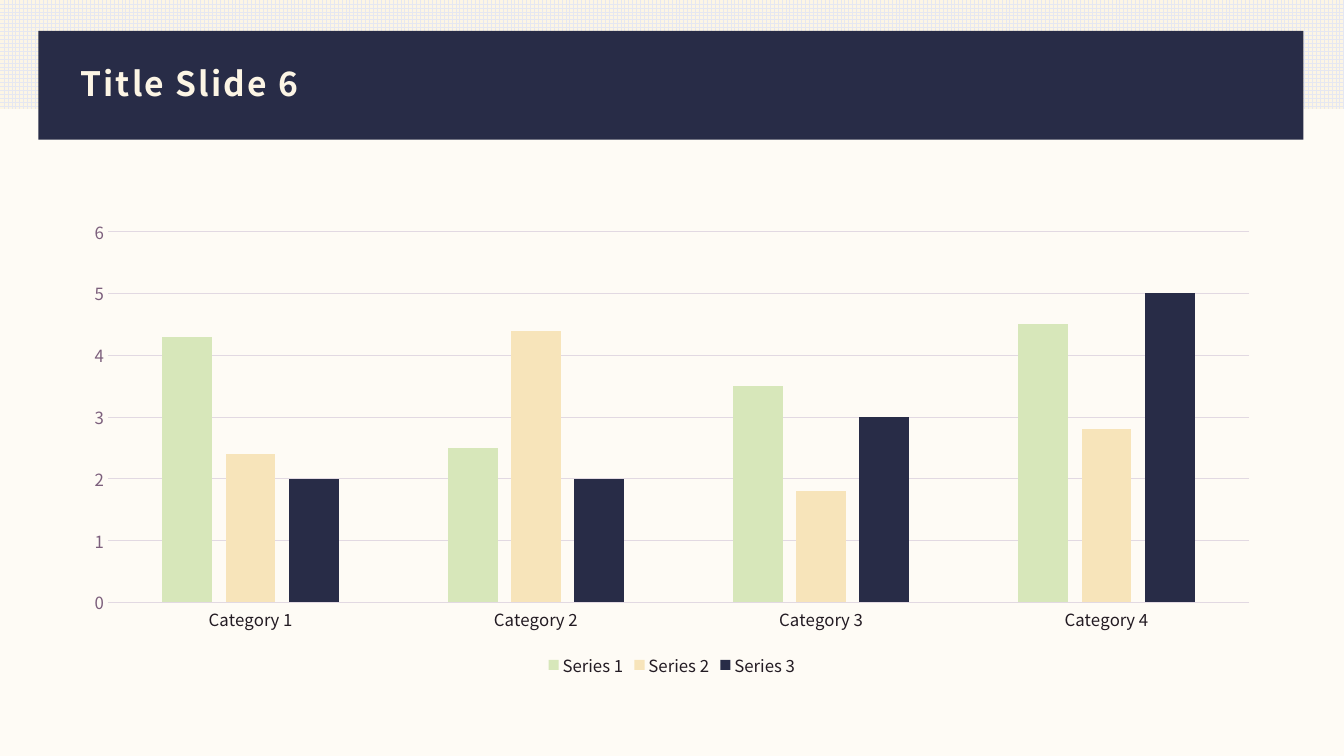
from dataclasses import dataclass

from pptx import Presentation
from pptx import util as u
from pptx.chart.data import CategoryChartData
from pptx.dml.color import RGBColor
from pptx.enum import chart as charts
from pptx.enum import dml, shapes, text
from pptx.oxml.ns import qn


@dataclass(frozen=True)
class Theme:
    font: str = "Noto Sans CJK JP"
    paper: str = "FEFBF5"
    cream: str = "FCF5E5"
    mist: str = "E5E7F1"
    navy: str = "282C47"
    ink: str = "231B23"
    mauve: str = "7C5F7C"
    rule: str = "E2D9E2"
    series: tuple = ("D7E7BA", "F7E4BA", "282C47")
    title_size: float = 24
    label_size: float = 12
    rule_width: float = 0.75
    title_tracking: float = 1.5


def rgb(value):
    return RGBColor.from_string(value)


class SlideBuilder:
    def __init__(self, page, theme):
        self.page = page
        self.theme = theme

    def background(self, color):
        fill = self.page.background.fill
        fill.solid()
        fill.fore_color.rgb = rgb(color)

    def style_font(self, font, size, color, bold=False):
        font.name = self.theme.font
        font.size = u.Pt(size)
        font.bold = bold
        font.color.rgb = rgb(color)

    def style_rule(self, line):
        line.color.rgb = rgb(self.theme.rule)
        line.width = u.Pt(self.theme.rule_width)

    def rectangle(self, left, top, width, height, color, grid_color=None):
        shape = self.page.shapes.add_shape(
            shapes.MSO_SHAPE.RECTANGLE, u.Pt(left), u.Pt(top), u.Pt(width), u.Pt(height))
        shape.shadow.inherit = False
        shape.line.fill.background()
        if grid_color:
            shape.fill.patterned()
            shape.fill.pattern = dml.MSO_PATTERN.LARGE_GRID
            shape.fill.fore_color.rgb = rgb(grid_color)
            shape.fill.back_color.rgb = rgb(color)
        else:
            shape.fill.solid()
            shape.fill.fore_color.rgb = rgb(color)

    def title(self, left, top, width, height, words):
        box = self.page.shapes.add_textbox(u.Pt(left), u.Pt(top), u.Pt(width), u.Pt(height))
        frame = box.text_frame
        frame.word_wrap = True
        frame.vertical_anchor = text.MSO_ANCHOR.MIDDLE
        para = frame.paragraphs[0]
        para.text = words
        para.line_spacing = 0.9
        self.style_font(para.font, self.theme.title_size, self.theme.cream, bold=True)
        properties = para._p.pPr.find(qn("a:defRPr"))
        properties.set("spc", str(round(self.theme.title_tracking * 100)))

    def column_chart(self, left, top, width, height, categories, series):
        theme = self.theme
        data = CategoryChartData()
        data.categories = categories
        for name, values in series.items():
            data.add_series(name, values)
        chart = self.page.shapes.add_chart(
            charts.XL_CHART_TYPE.COLUMN_CLUSTERED,
            u.Pt(left), u.Pt(top), u.Pt(width), u.Pt(height), data).chart
        self.style_font(chart.font, theme.label_size, theme.ink)
        chart.has_title = False

        plot = chart.plots[0]
        plot.vary_by_categories = False
        plot.gap_width = 219
        plot.overlap = -27
        for column, color in zip(plot.series, theme.series):
            column.format.fill.solid()
            column.format.fill.fore_color.rgb = rgb(color)

        for axis, color in ((chart.category_axis, theme.ink), (chart.value_axis, theme.mauve)):
            axis.major_tick_mark = axis.minor_tick_mark = charts.XL_TICK_MARK.NONE
            self.style_font(axis.tick_labels.font, theme.label_size, color)
        self.style_rule(chart.category_axis.format.line)

        scale = chart.value_axis
        scale.minimum_scale, scale.maximum_scale, scale.major_unit = 0, 6, 1
        scale.format.line.fill.background()
        scale.has_major_gridlines = True
        self.style_rule(scale.major_gridlines.format.line)

        chart.has_legend = True
        chart.legend.position = charts.XL_LEGEND_POSITION.BOTTOM
        chart.legend.include_in_layout = False
        self.style_font(chart.legend.font, theme.label_size, theme.ink)


def main():
    deck = Presentation()
    deck.slide_width, deck.slide_height = u.Pt(960), u.Pt(540)
    theme = Theme()
    builder = SlideBuilder(deck.slides.add_slide(deck.slide_layouts[6]), theme)

    margin, content_width, band_height = 50.4, 859, 77.8
    builder.background(theme.paper)
    builder.rectangle(0, 0, 960, band_height, theme.cream, grid_color=theme.mist)
    builder.rectangle(27.4, 22, 903.6, band_height, theme.navy)
    builder.title(margin, 38.2, content_width, 46, "Title Slide 6")
    builder.column_chart(
        margin, 149.8, content_width, 337,
        [f"Category {number}" for number in range(1, 5)],
        {
            "Series 1": (4.3, 2.5, 3.5, 4.5),
            "Series 2": (2.4, 4.4, 1.8, 2.8),
            "Series 3": (2, 2, 3, 5),
        })
    deck.save("out.pptx")


if __name__ == "__main__":
    main()
